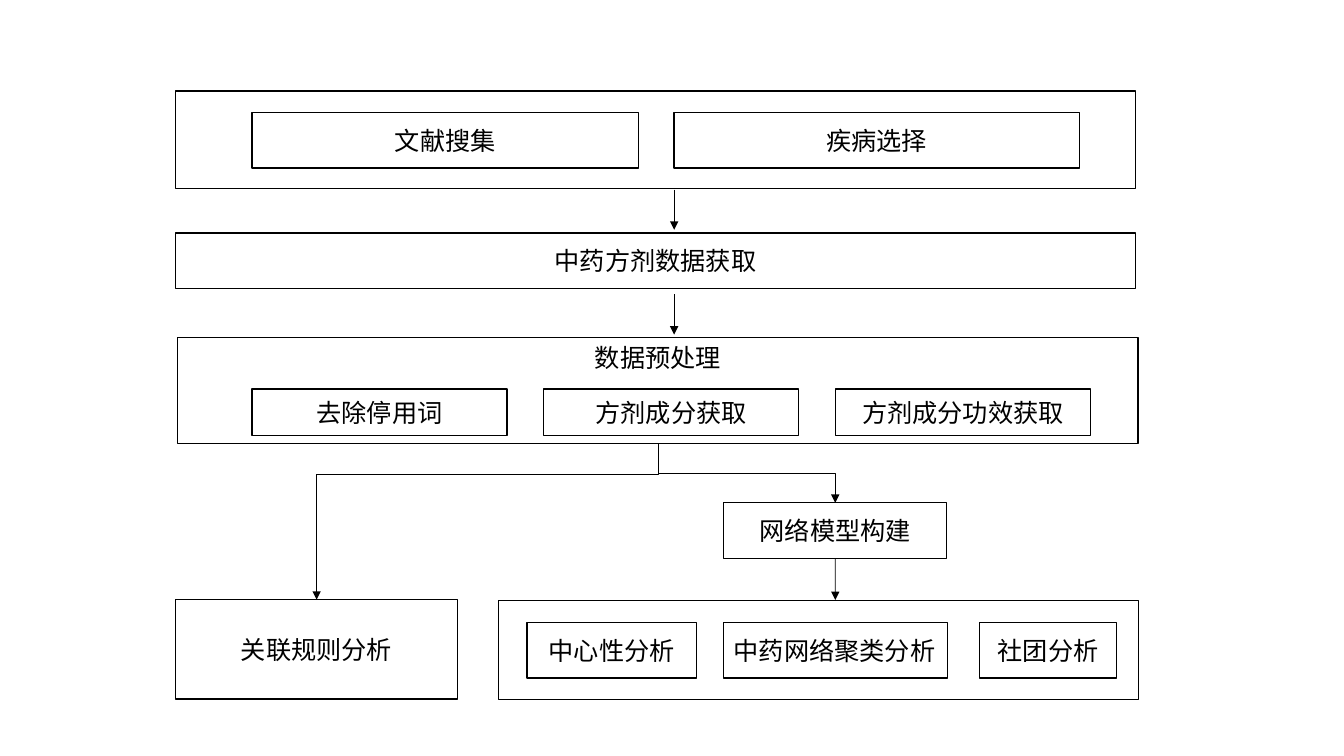
from dataclasses import dataclass

from lxml.etree import SubElement
from pptx import Presentation
from pptx.dml.color import RGBColor
from pptx.enum.shapes import MSO_CONNECTOR, MSO_SHAPE
from pptx.enum.text import MSO_ANCHOR, PP_ALIGN
from pptx.oxml.ns import qn
from pptx.util import Cm, Pt


@dataclass(frozen=True)
class Theme:
    ink: RGBColor = RGBColor(0, 0, 0)
    paper: RGBColor = RGBColor(255, 255, 255)
    font: str = "Calibri"
    size: Pt = Pt(18)
    edge: Pt = Pt(1)
    wire: Pt = Pt(0.5)


THEME = Theme()
ROW = 1.4  # usual box height in cm


def add_box(slide, left, top, width, height, text="",
            anchor=MSO_ANCHOR.MIDDLE, align=PP_ALIGN.CENTER):
    box = slide.shapes.add_shape(
        MSO_SHAPE.RECTANGLE, Cm(left), Cm(top), Cm(width), Cm(height))
    box.shadow.inherit = False
    box.fill.solid()
    box.fill.fore_color.rgb = THEME.paper
    box.line.color.rgb = THEME.ink
    box.line.width = THEME.edge
    if text:
        frame = box.text_frame
        frame.word_wrap = True
        frame.vertical_anchor = anchor
        para = frame.paragraphs[0]
        para.text = text
        para.alignment = align
        para.font.name = THEME.font
        para.font.size = THEME.size
        para.font.color.rgb = THEME.ink
    return box


def add_wire(slide, kind, x1, y1, x2, y2):
    wire = slide.shapes.add_connector(kind, Cm(x1), Cm(y1), Cm(x2), Cm(y2))
    wire.line.color.rgb = THEME.ink
    wire.line.width = THEME.wire
    props = wire._element.spPr
    SubElement(props.find(qn("a:ln")), qn("a:tailEnd"), type="triangle")
    SubElement(props, qn("a:effectLst"))
    return wire


def add_arrow(slide, x, top, end):
    return add_wire(slide, MSO_CONNECTOR.STRAIGHT, x, top, x, end)


def add_elbow(slide, x1, y1, x2, y2, bend):
    """Go down, across and down again; bend is the share of the first drop."""
    side = 1 if x2 > x1 else -1
    # Lay the elbow on its side, then turn it about its centre
    mid_x, mid_y = (x1 + x2) / 2, (y1 + y2) / 2
    half_w, half_h = side * (y2 - y1) / 2, abs(x2 - x1) / 2
    wire = add_wire(slide, MSO_CONNECTOR.ELBOW, mid_x + half_w, mid_y - half_h,
                    mid_x - half_w, mid_y + half_h)
    props = wire._element.spPr
    props.find(qn("a:xfrm")).set("rot", str((270 if side > 0 else 90) * 60000))
    geom = props.find(qn("a:prstGeom"))
    guides = geom.find(qn("a:avLst"))
    if guides is None:
        guides = SubElement(geom, qn("a:avLst"))
    SubElement(guides, qn("a:gd"), name="adj1", fmla=f"val {round(bend * 100000)}")


def add_source(slide, left, top, width, height):
    add_box(slide, left, top, width, height)
    for dx, wide, text in ((1.93, 9.75, "文献搜集"), (12.57, 10.21, "疾病选择")):
        add_box(slide, left + dx, top + 0.55, wide, ROW, text)


def add_prep(slide, left, top, width, height):
    add_box(slide, left, top, width, height, "数据预处理", MSO_ANCHOR.TOP)
    for i, text in enumerate(("去除停用词", "方剂成分获取", "方剂成分功效获取")):
        add_box(slide, left + 1.87 + i * 7.35, top + 1.29, 6.43, 1.17, text)


def add_study(slide, left, top, width, height):
    add_box(slide, left, top, width, height)
    parts = ((0.71, 4.27, "中心性分析", PP_ALIGN.CENTER),
             (5.67, 5.64, "中药网络聚类分析", PP_ALIGN.LEFT),
             (12.12, 3.45, "社团分析", PP_ALIGN.CENTER))
    for dx, wide, text, align in parts:
        add_box(slide, left + dx, top + 0.55, wide, ROW, text, align=align)


def main():
    deck = Presentation()
    deck.slide_width, deck.slide_height = Cm(33.87), Cm(19.05)
    slide = deck.slides.add_slide(deck.slide_layouts[6])

    # Stages from top to bottom
    add_source(slide, 4.42, 2.29, 24.2, 2.46)
    add_box(slide, 4.42, 5.87, 24.2, ROW, "中药方剂数据获取")
    add_prep(slide, 4.48, 8.51, 24.2, 2.67)
    model = add_box(slide, 18.24, 12.67, 5.62, ROW, "网络模型构建")
    add_box(slide, 4.42, 15.11, 7.11, 2.51, "关联规则分析")
    add_study(slide, 12.57, 15.14, 16.13, 2.49)

    # Arrows between the stages
    for top in (4.78, 7.42):
        add_arrow(slide, 16.99, top, top + 1.01)
    add_arrow(slide, 21.05, 14.07, 15.12).begin_connect(model, 2)
    add_elbow(slide, 16.58, 11.18, 21.05, 12.67, 0.5)
    add_elbow(slide, 16.58, 11.18, 7.98, 15.11, 0.2)

    deck.save("out.pptx")


if __name__ == "__main__":
    main()
